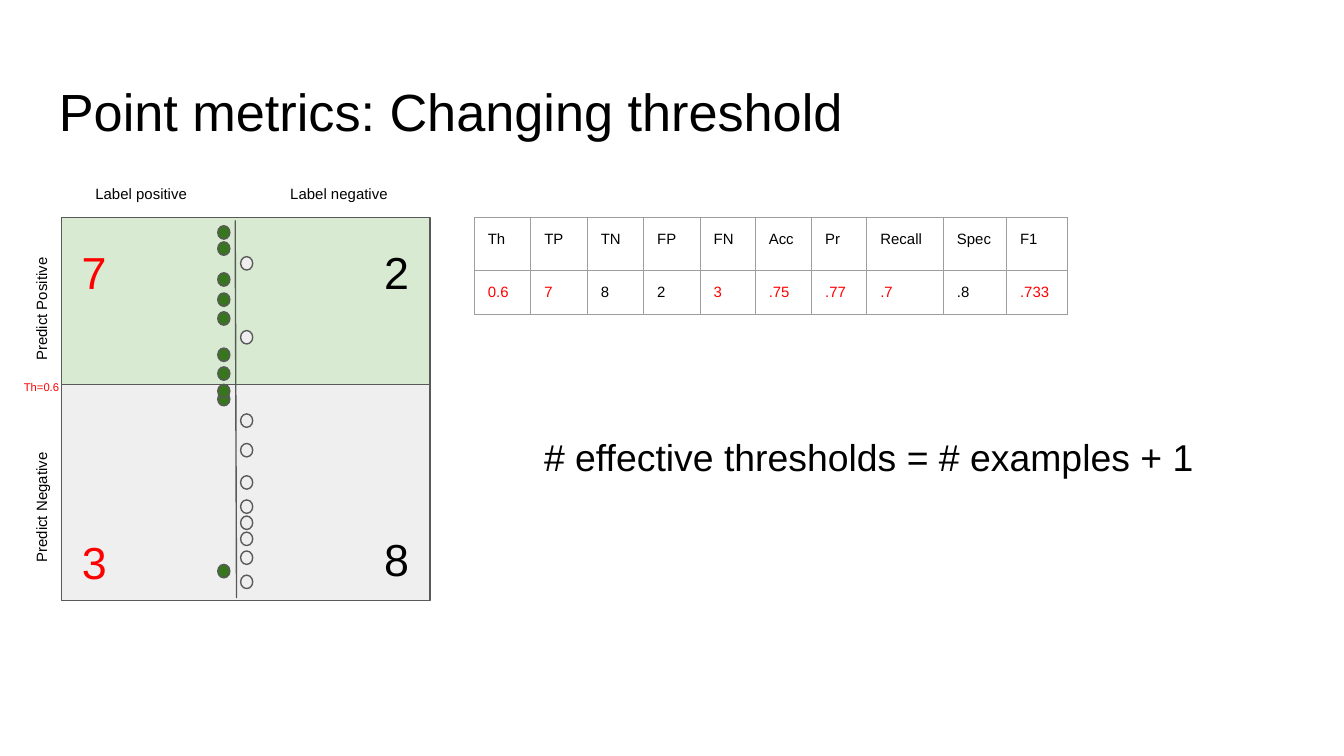
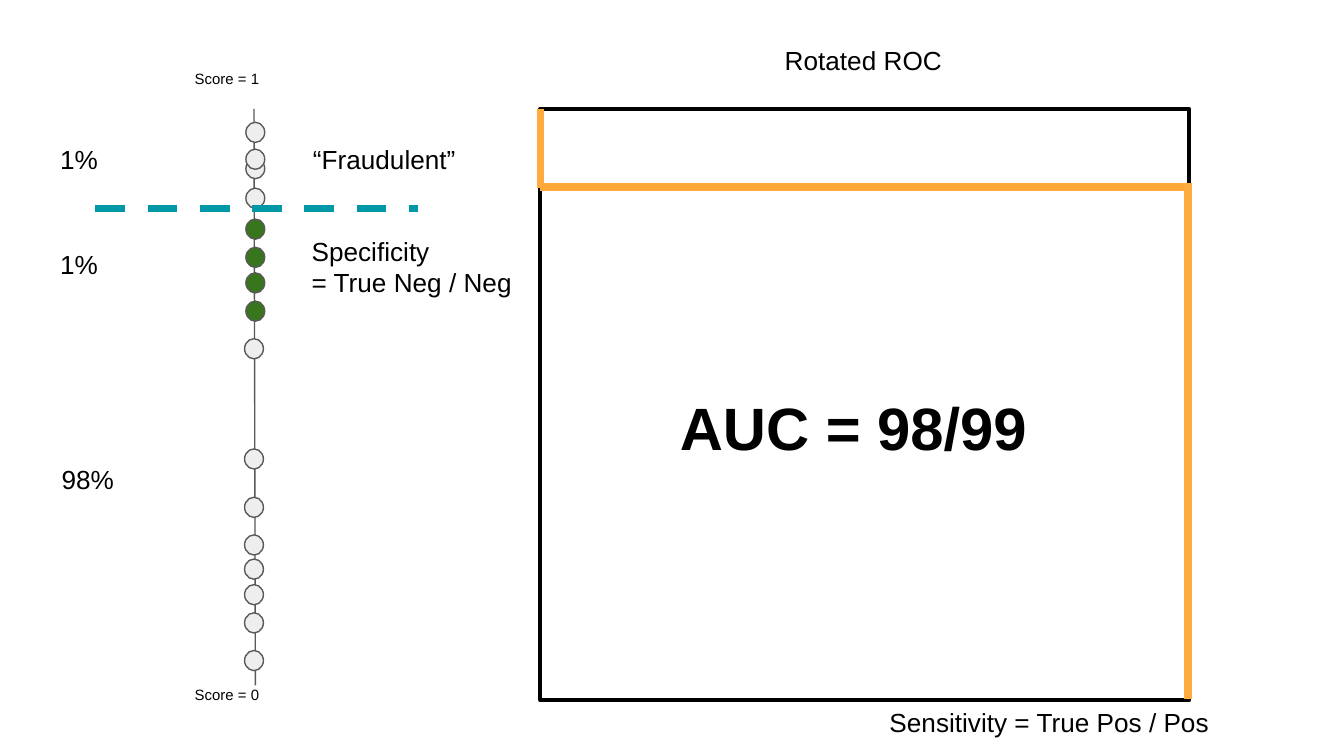
from typing import NamedTuple

from lxml import etree
from pptx import Presentation
from pptx.dml.color import RGBColor
from pptx.enum.dml import MSO_LINE
from pptx.enum.shapes import MSO_CONNECTOR, MSO_SHAPE
from pptx.enum.text import MSO_ANCHOR, MSO_AUTO_SIZE
from pptx.oxml.ns import qn
from pptx.util import Inches, Pt

FONT = "Arial"
COLORS = {
    "black": "000000", "white": "FFFFFF", "red": "FF0000",
    "outline": "595959", "grid": "9E9E9E",
    "predicted_pos": "D9EAD3", "predicted_neg": "EFEFEF",
    "positive": "38761D", "negative": "EEEEEE",
    "roc": "FFAB40", "roc_step": "FEA83A", "threshold": "0097A7",
}


class Label(NamedTuple):
    text: str
    x: float
    y: float
    w: float
    h: float
    size: float = 14
    color: str = "black"


class Line(NamedTuple):
    x1: float
    y1: float
    x2: float
    y2: float
    color: str = "outline"
    width: float = 0.75
    dash: bool = False


class Metric(NamedTuple):
    name: str
    value: str
    width: float
    changed: bool


class Dots(NamedTuple):
    x: float
    tops: list[float]
    color: str


def rgb(name: str) -> RGBColor:
    return RGBColor.from_string(COLORS[name])


def write(tf, text: str, *, size: float = 14, color: str = "black",
          bold: bool = False) -> None:
    """Fill a text frame, one paragraph per line of text."""
    for i, line in enumerate(text.split("\n")):
        p = tf.paragraphs[0] if i == 0 else tf.add_paragraph()
        r = p.add_run()
        r.text = line
        r.font.name = FONT
        r.font.size = Pt(size)
        r.font.bold = bold
        r.font.color.rgb = rgb(color)


def add_text(slide, label: Label, *, bold: bool = False, wrap: bool = True,
             grow: bool = False, left: float = 0.1, rotation: float = 0,
             tab: float | None = None) -> None:
    sp = slide.shapes.add_textbox(*map(Inches, label[1:5]))
    sp.rotation = rotation
    tf = sp.text_frame
    tf.word_wrap = wrap
    tf.auto_size = MSO_AUTO_SIZE.SHAPE_TO_FIT_TEXT if grow else MSO_AUTO_SIZE.NONE
    tf.vertical_anchor = MSO_ANCHOR.TOP
    tf.margin_left, tf.margin_right = Inches(left), Inches(0.1)
    tf.margin_top = tf.margin_bottom = Inches(0.05 if grow else 0.1)
    if tab is not None:
        p_pr = tf.paragraphs[0]._p.get_or_add_pPr()
        tabs = etree.SubElement(p_pr, qn("a:tabLst"))
        etree.SubElement(tabs, qn("a:tab"), pos=str(Inches(tab)), algn="l")
    write(tf, label.text, size=label.size, color=label.color, bold=bold)


def add_shape(slide, kind: MSO_SHAPE, x: float, y: float, w: float, h: float,
              fill: str, line: str = "outline", width: float = 0.75) -> None:
    sp = slide.shapes.add_shape(kind, *map(Inches, (x, y, w, h)))
    sp.shadow.inherit = False
    sp.fill.solid()
    sp.fill.fore_color.rgb = rgb(fill)
    sp.line.color.rgb = rgb(line)
    sp.line.width = Pt(width)


def add_line(slide, line: Line) -> None:
    cx = slide.shapes.add_connector(MSO_CONNECTOR.STRAIGHT, *map(Inches, line[:4]))
    cx.line.color.rgb = rgb(line.color)
    cx.line.width = Pt(line.width)
    if line.dash:
        cx.line.dash_style = MSO_LINE.DASH
    etree.SubElement(cx._element.spPr, qn("a:effectLst"))


def add_dots(slide, dots: Dots, w: float, h: float) -> None:
    for top in dots.tops:
        add_shape(slide, MSO_SHAPE.FLOWCHART_CONNECTOR, dots.x, top, w, h, dots.color)


def set_borders(cell) -> None:
    tc_pr = cell._tc.get_or_add_tcPr()
    for i, side in enumerate(("lnL", "lnR", "lnT", "lnB")):
        ln = etree.Element(qn(f"a:{side}"), w=str(Pt(0.75)))
        fill = etree.SubElement(ln, qn("a:solidFill"))
        etree.SubElement(fill, qn("a:srgbClr"), val=COLORS["grid"])
        tc_pr.insert(i, ln)


def add_metric(slide, metric: Metric, x: float, y: float) -> None:
    """Draw one metric as a two-row table: name above value."""
    heights = (0.39, 0.33)
    frame = slide.shapes.add_table(
        2, 1, *map(Inches, (x, y, metric.width, sum(heights))))
    table = frame.table
    table.first_row = table.horz_banding = False
    table.columns[0].width = Inches(metric.width)
    value_color = "red" if metric.changed else "black"
    rows = ((metric.name, "black"), (metric.value, value_color))
    for i, (text, color) in enumerate(rows):
        table.rows[i].height = Inches(heights[i])
        cell = table.cell(i, 0)
        cell.fill.background()
        cell.margin_left = cell.margin_right = Inches(0.1)
        cell.margin_top = cell.margin_bottom = Inches(0.1)
        set_borders(cell)
        write(cell.text_frame, text, size=8, color=color)


METRICS = [
    Metric("Th", "0.6", 0.42, True), Metric("TP", "7", 0.42, True),
    Metric("TN", "8", 0.42, False), Metric("FP", "2", 0.42, False),
    Metric("FN", "3", 0.41, True), Metric("Acc", ".75", 0.42, True),
    Metric("Pr", ".77", 0.41, True), Metric("Recall", ".7", 0.57, True),
    Metric("Spec", ".8", 0.47, False), Metric("F1", ".733", 0.45, True),
]


def build_threshold_slide(prs) -> None:
    slide = prs.slides.add_slide(prs.slide_layouts[6])
    matrix_x, matrix_y, matrix_w = 0.46, 1.62, 2.74

    # Title and confusion matrix
    add_shape(slide, MSO_SHAPE.RECTANGLE, matrix_x, 2.86, matrix_w, 1.61,
              "predicted_neg")
    add_text(slide, Label("Point metrics: Changing threshold",
                          0.34, 0.49, 9.32, 0.63, 28))
    add_shape(slide, MSO_SHAPE.RECTANGLE, matrix_x, matrix_y, matrix_w, 1.24,
              "predicted_pos")
    add_line(slide, Line(1.75, 1.64, 1.76, 4.45))

    # Scored examples
    for dots in (
        Dots(1.79, [1.91, 2.46, 3.08, 3.3, 3.54, 3.72, 3.84, 3.96, 4.1, 4.28],
             "negative"),
        Dots(1.62, [1.68, 1.8, 2.03, 2.18, 2.32, 2.59, 2.92, 4.2, 2.73, 2.86],
             "positive"),
    ):
        add_dots(slide, dots, 0.09, 0.1)

    # Axis labels
    add_text(slide, Label("Label positive\tLabel negative",
                          matrix_x, 1.31, matrix_w, 0.13, 8), left=0.25, tab=1.45)
    add_text(slide, Label("Predict Negative\tPredict Positive",
                          -1.13, 2.97, matrix_w, 0.13, 8),
             left=0.22, tab=1.5, rotation=270)

    # Counts and threshold
    for label in (
        Label("7", 0.51, 1.72, 0.36, 0.57, 24, "red"),
        Label("8", 2.76, 3.86, 0.32, 0.4, 24),
        Label("2", 2.76, 1.72, 0.32, 0.4, 24),
        Label("3", 0.51, 3.88, 0.32, 0.4, 24, "red"),
        Label("Th=0.6", 0.08, 2.73, 0.47, 0.27, 6, "red"),
    ):
        add_text(slide, label)

    # Metrics, side by side
    x = 3.53
    for metric in METRICS:
        add_metric(slide, metric, x, matrix_y)
        x += metric.width

    add_text(slide, Label("# effective thresholds = # examples + 1",
                          3.95, 3.18, 5.16, 0.44, 20), grow=True)


def build_roc_slide(prs) -> None:
    slide = prs.slides.add_slide(prs.slide_layouts[6])

    # Score axis with examples
    add_line(slide, Line(1.89, 0.81, 1.9, 5.1))
    for dots in (
        Dots(1.82, [2.52, 3.34, 3.7, 3.98, 4.16, 4.35, 4.56, 4.84], "negative"),
        Dots(1.83, [1.63, 1.84, 2.24, 2.03], "positive"),
        Dots(1.83, [1.4, 1.18, 0.91, 1.11], "negative"),
    ):
        add_dots(slide, dots, 0.14, 0.15)
    for text, y in (("Score = 1", 0.42), ("Score = 0", 5)):
        add_text(slide, Label(text, 1.35, y, 1.96, 0.2, 8))

    # Share of each score range
    for label in (
        Label("1%", 0.35, 1.02, 1, 0.34),
        Label("1%", 0.35, 1.8, 1, 0.34),
        Label("98%", 0.36, 3.4, 1, 0.34),
        Label("“Fraudulent”", 2.23, 1.02, 1.39, 0.34),
    ):
        add_text(slide, label, grow=True)

    # Plot frame and axis names
    add_shape(slide, MSO_SHAPE.RECTANGLE, 4.02, 0.81, 4.83, 4.4,
              "white", "black", 2)
    for label in (
        Label("Rotated ROC", 5.74, 0.28, 1.38, 0.34),
        Label("Specificity\n= True Neg / Neg", 2.22, 1.7, 1.71, 0.57),
        Label("Sensitivity = True Pos / Pos", 6.52, 5.21, 2.6, 0.34),
    ):
        add_text(slide, label, grow=True, wrap=False)

    # ROC curve and decision threshold
    for line in (
        Line(4.02, 0.81, 4.02, 1.4, "roc", 4),
        Line(4.02, 1.39, 8.85, 1.39, "roc_step", 4),
        Line(8.84, 1.36, 8.84, 5.2, "roc", 4),
        Line(0.71, 1.55, 3.11, 1.55, "threshold", 4, True),
    ):
        add_line(slide, line)

    add_text(slide, Label("AUC = 98/99", 4.96, 2.86, 3.11, 0.88, 32),
             bold=True, grow=True)


def main() -> None:
    prs = Presentation()
    # Widescreen, 16:9
    prs.slide_width = Inches(10)
    prs.slide_height = Inches(10) * 9 // 16
    build_threshold_slide(prs)
    build_roc_slide(prs)
    prs.save("out.pptx")


if __name__ == "__main__":
    main()
